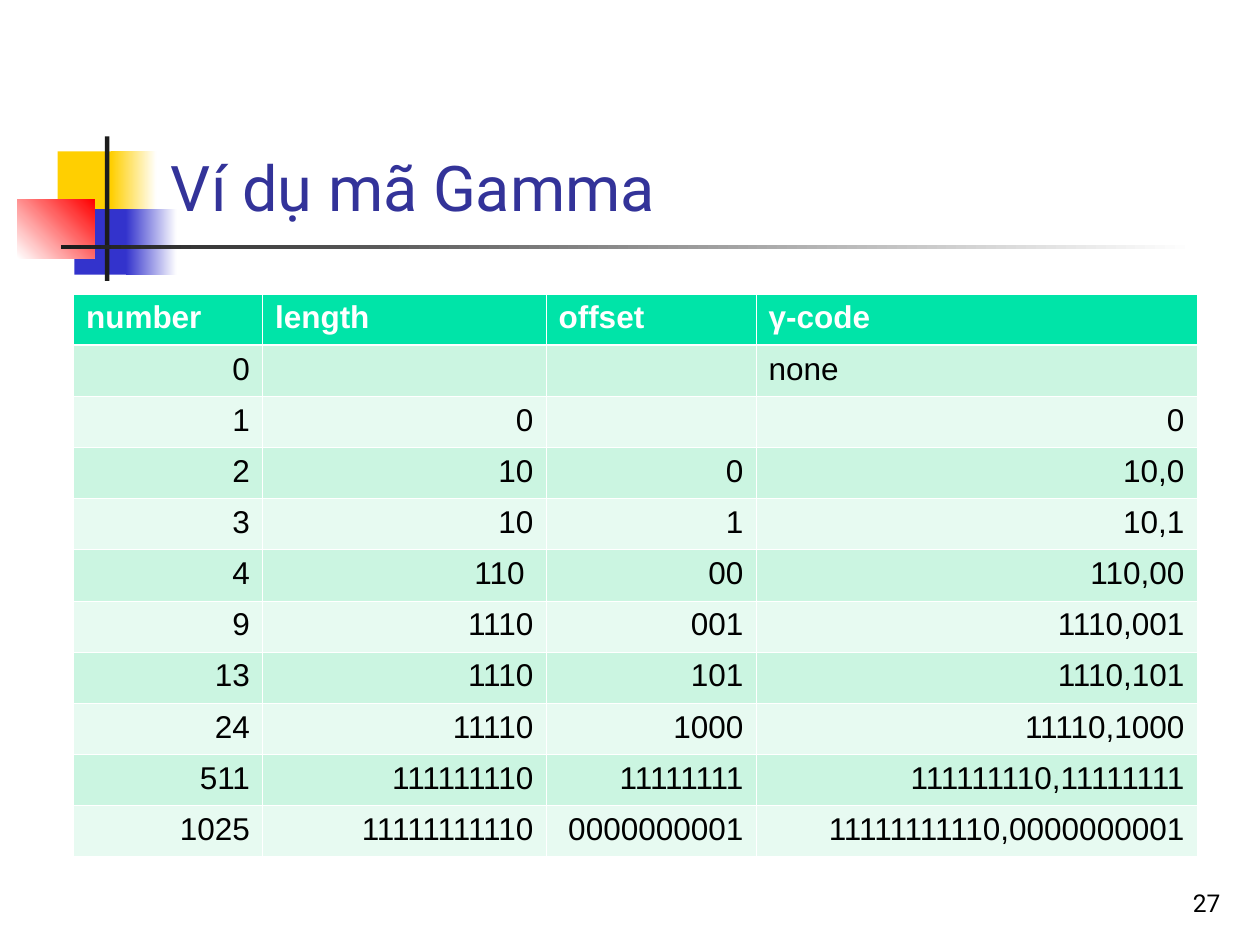
from lxml import etree
from pptx import Presentation
from pptx.dml.color import RGBColor
from pptx.enum.shapes import MSO_SHAPE
from pptx.enum.text import MSO_ANCHOR, MSO_AUTO_SIZE, PP_ALIGN
from pptx.oxml.ns import qn
from pptx.util import Pt

RECT = MSO_SHAPE.RECTANGLE
BOTTOM = MSO_ANCHOR.BOTTOM
FIXED = MSO_AUTO_SIZE.NONE
LEFT, RIGHT = PP_ALIGN.LEFT, PP_ALIGN.RIGHT

WHITE = RGBColor(0xFF, 0xFF, 0xFF)
BLACK = RGBColor(0x00, 0x00, 0x00)
YELLOW = RGBColor(0xFF, 0xCF, 0x01)
BLUE = RGBColor(0x33, 0x33, 0xCC)
RED = RGBColor(0xFF, 0x00, 0x00)
DARK = RGBColor(0x1C, 0x1C, 0x1C)
NAVY = RGBColor(0x33, 0x33, 0x99)
GREEN = RGBColor(0x00, 0xE4, 0xA8)
MINT = RGBColor(0xCB, 0xF5, 0xE1)
PALE = RGBColor(0xE7, 0xFA, 0xF1)

HEAD_FONT, BODY_FONT = "Roboto", "Arial"
THIN, THICK = 0.45, 1.47

# left, top, width, height inside the emblem, then start colour,
# end colour (None for a plain fill) and gradient angle
EMBLEM = [
    (23, 8.5, 34.5, 37.5, YELLOW, None, 0),
    (53.5, 8.5, 26, 37.5, YELLOW, WHITE, 0),
    (32.5, 41.5, 33, 37.5, BLUE, None, 0),
    (62, 41.5, 29, 37.5, BLUE, WHITE, 0),
    (0, 36, 44, 33.5, WHITE, RED, 45),
    (50, 0, 2.5, 82.5, DARK, None, 0),
    (25, 62, 648, 2.5, DARK, WHITE, 0),
]
WIDTHS = [108, 162, 120, 252]
ROWS = [
    ("number", "length", "offset", "γ-code"),
    ("0", "", "", "none"),
    ("1", "0", "", "0"),
    ("2", "10", "0", "10,0"),
    ("3", "10", "1", "10,1"),
    ("4", "110 ", "00", "110,00"),
    ("9", "1110", "001", "1110,001"),
    ("13", "1110", "101", "1110,101"),
    ("24", "11110", "1000", "11110,1000"),
    ("511", "111111110", "11111111", "111111110,11111111"),
    ("1025", "11111111110", "0000000001", "11111111110,0000000001"),
]


def style(par, name, size, color, align, bold=False):
    par.alignment = align
    font = par.font
    font.name, font.size, font.bold = name, Pt(size), bold
    font.color.rgb = color


def place(shape, box):
    shape.left, shape.top, shape.width, shape.height = map(Pt, box)


def add_emblem(slide, left, top):
    for x, y, wide, high, start, end, angle in EMBLEM:
        part = slide.shapes.add_shape(
            RECT, Pt(left + x), Pt(top + y), Pt(wide), Pt(high))
        part.shadow.inherit = False
        part.line.fill.background()
        if end is None:
            part.fill.solid()
            part.fill.fore_color.rgb = start
        else:
            part.fill.gradient()
            part.fill.gradient_angle = angle
            for stop, color in zip(part.fill.gradient_stops, (start, end)):
                stop.color.rgb = color


def add_title(slide, box, text):
    title = slide.shapes.title
    place(title, box)
    # Bring the title in front of the emblem
    slide.shapes._spTree.append(title._element)
    frame = title.text_frame
    frame.text = text
    frame.auto_size = FIXED
    frame.vertical_anchor = BOTTOM
    style(frame.paragraphs[0], HEAD_FONT, 36, NAVY, LEFT)


def add_number(slide, box, text):
    frame = slide.shapes.add_textbox(*map(Pt, box)).text_frame
    frame.word_wrap = True
    frame.vertical_anchor = BOTTOM
    frame.text = text
    style(frame.paragraphs[0], HEAD_FONT, 14, BLACK, RIGHT)


def add_borders(cell, top, bottom):
    props = cell._tc.get_or_add_tcPr()
    for side, width in zip("LRTB", (THIN, THIN, top, bottom)):
        line = etree.SubElement(props, qn(f"a:ln{side}"), w=str(int(Pt(width))))
        fill = etree.SubElement(line, qn("a:solidFill"))
        etree.SubElement(fill, qn("a:srgbClr"), val=str(WHITE))


def add_codes(slide, box):
    table = slide.shapes.add_table(
        len(ROWS), len(WIDTHS), *map(Pt, box)).table
    for col, width in zip(table.columns, WIDTHS):
        col.width = Pt(width)
    for i, texts in enumerate(ROWS):
        table.rows[i].height = Pt(box[3] / len(ROWS))
        head = i == 0
        shade = GREEN if head else MINT if i % 2 else PALE
        for j, text in enumerate(texts):
            cell = table.cell(i, j)
            add_borders(cell, THICK if i == 1 else THIN,
                        THICK if head else THIN)
            cell.fill.solid()
            cell.fill.fore_color.rgb = shade
            cell.text = text
            align = LEFT if head or text == "none" else RIGHT
            style(cell.text_frame.paragraphs[0], BODY_FONT, 18,
                  WHITE if head else BLACK, align, head)


def main():
    deck = Presentation()
    deck.slide_width, deck.slide_height = Pt(720), Pt(540)
    slide = deck.slides.add_slide(deck.slide_layouts[5])
    add_emblem(slide, 10, 78)
    add_number(slide, (554.5, 492, 150, 36), "27")
    add_title(slide, (90.5, 31.5, 613.5, 100), "Ví dụ mã Gamma")
    add_codes(slide, (42, 168, 642, 321.75))
    deck.save("out.pptx")


if __name__ == "__main__":
    main()
